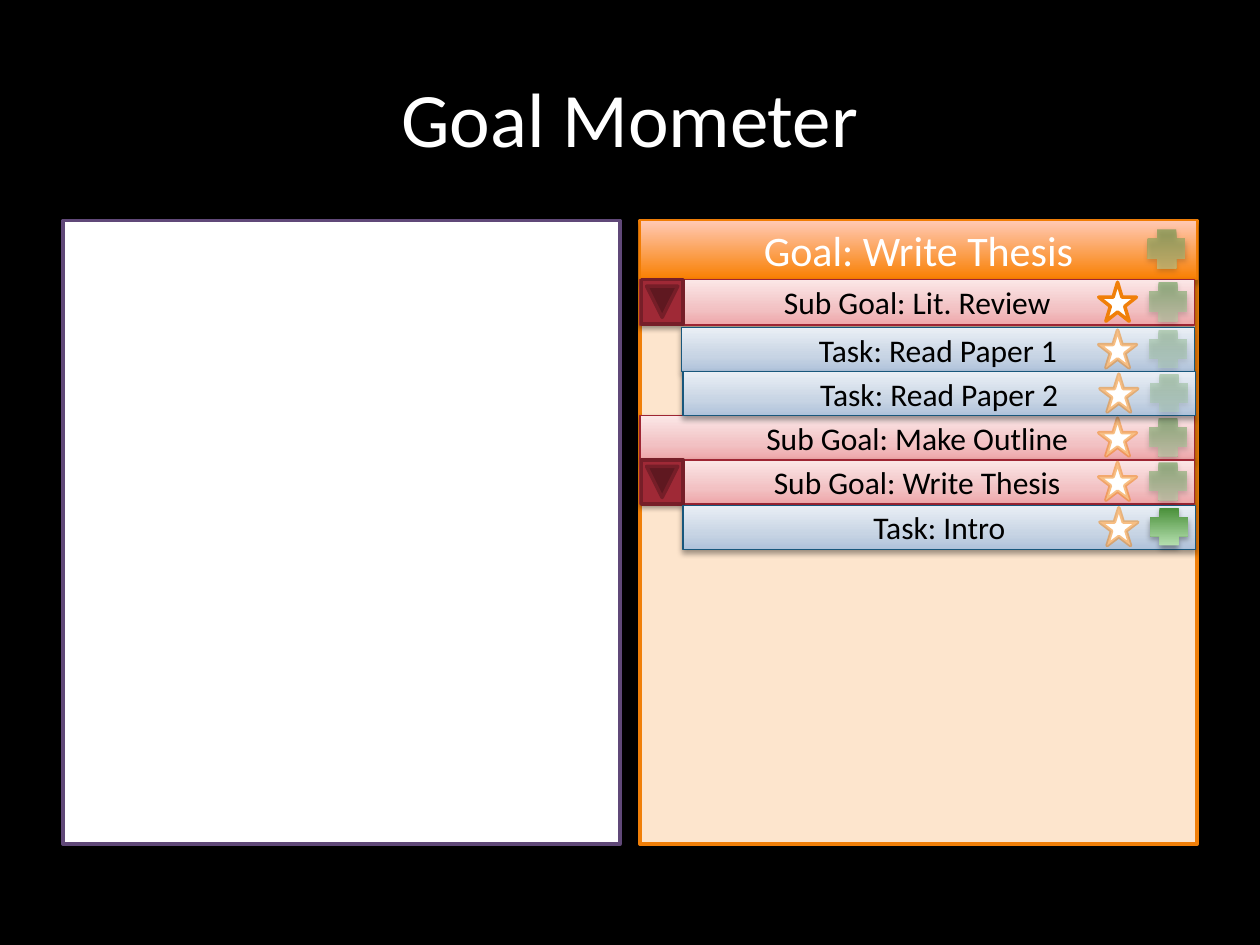
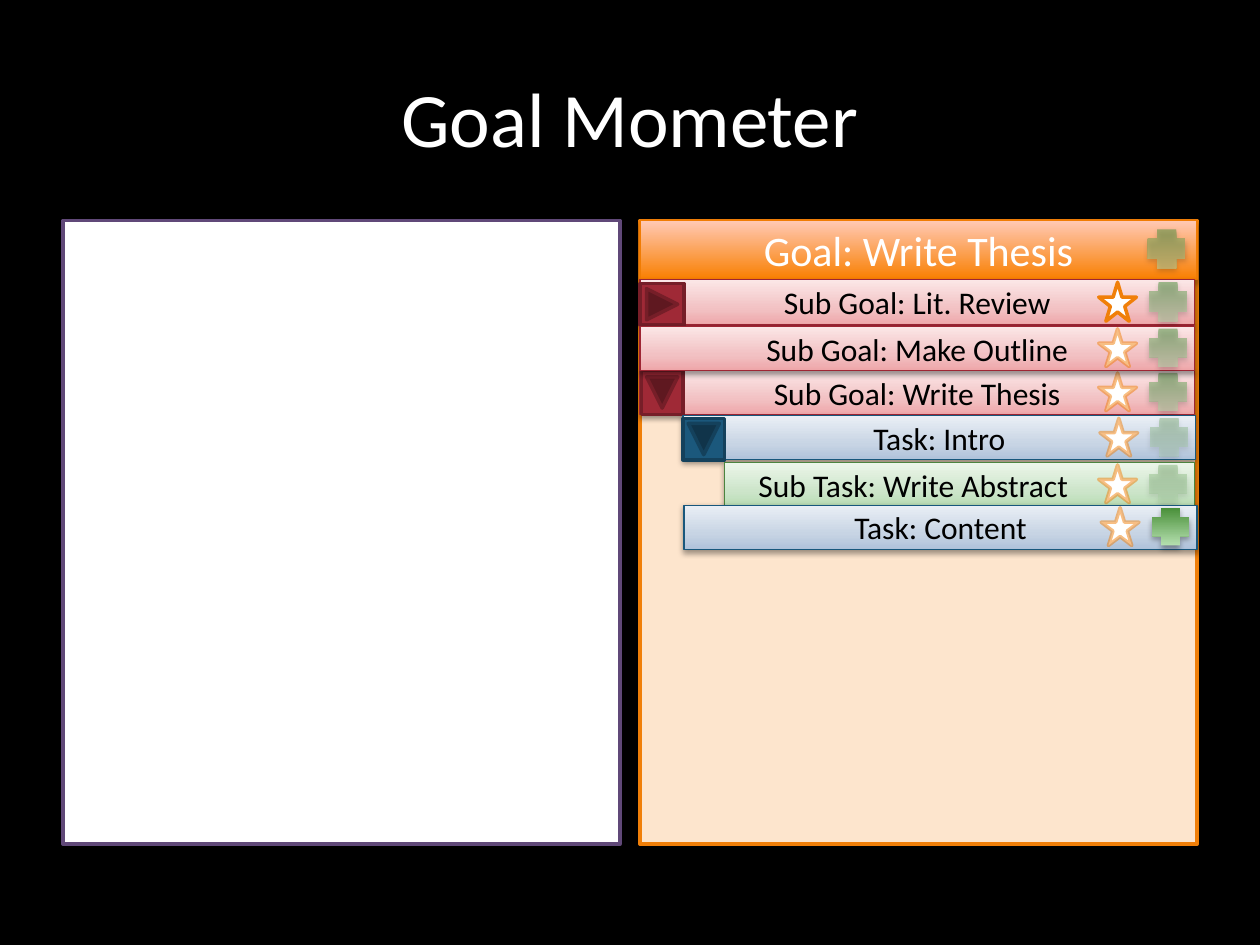
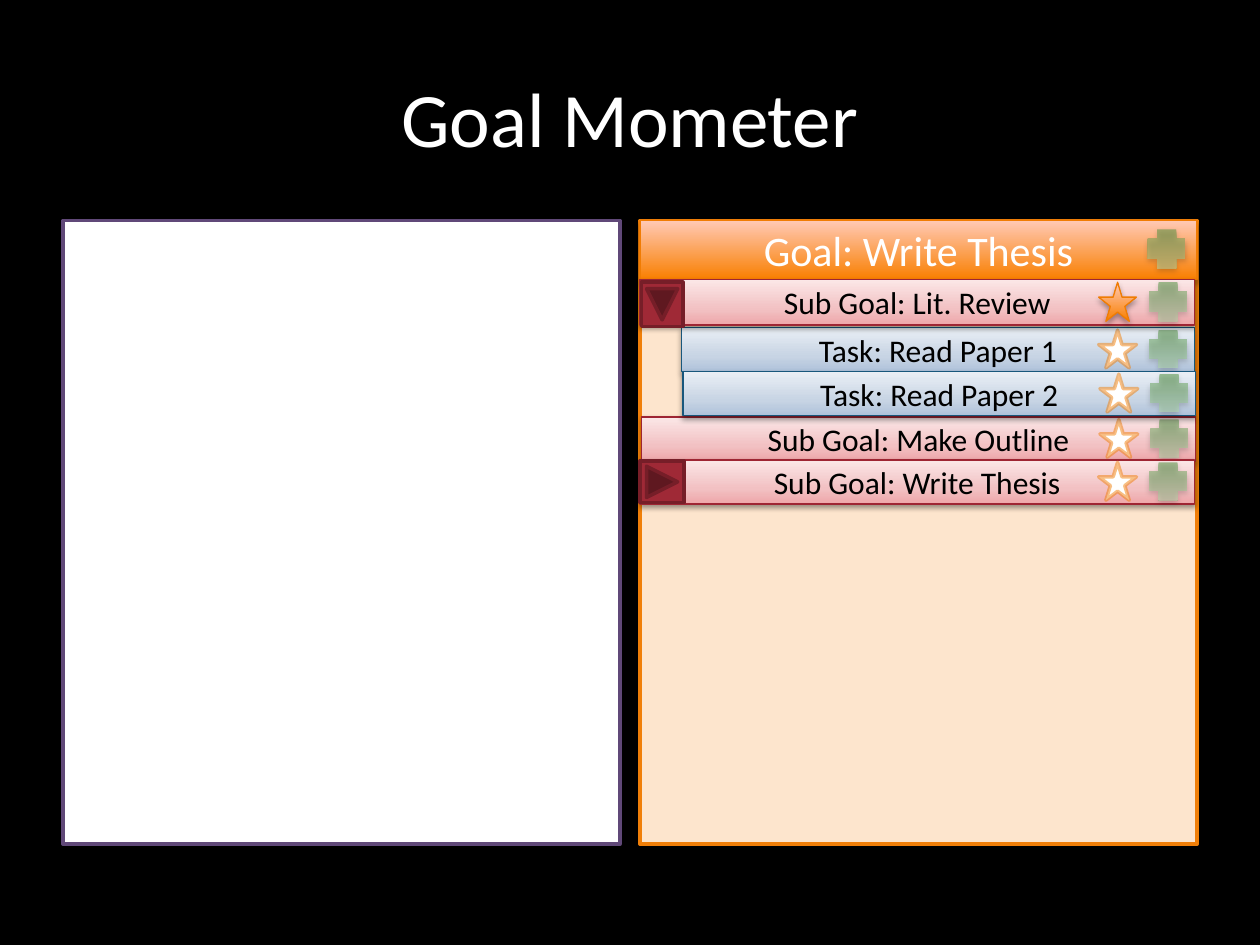
import lxml.etree
import pptx
import pptx.dml.color
import pptx.enum.shapes
import pptx.enum.text
import pptx.oxml.ns
import pptx.util

inch = pptx.util.Inches
form = pptx.enum.shapes.MSO_SHAPE
side = pptx.enum.text.PP_ALIGN
name = pptx.oxml.ns.qn
hue = pptx.dml.color.RGBColor.from_string

amber = [(0, "F97F00"), (100, "FFC9B5")]
green = [(0, "488F38"), (100, "B5DFAF")]
deep = (35, 23000)
soft = (38, 20000)

kinds = {
    "goal": dict(
        fill=[(0, "EEA6A9"), (35, "F2C1C3"), (100, "FBE7E7")], line="9E2533",
        wide=4.4, key="9F2936", edge="761E28", size=0.35),
    "task": dict(
        fill=[(0, "AFC2DA"), (35, "C7D4E4"), (100, "EAEFF5")], line="18577C",
        wide=4.07, key="1B587C", edge="14415C", size=0.33),
    "step": dict(
        fill=[(0, "B8DCB3"), (35, "CDE5CA"), (100, "ECF6EA")], line="4B843F",
        wide=3.73),
}

stars = {
    "faint": dict(fill="FFFFFF", line="F07F09", width=2, fade=50),
    "clear": dict(fill="FFFFFF", line="F07F09", width=2),
    "full": dict(fill=amber, line="F07C03", shade=deep),
}

# text, kind, left, top, height, star, plus opacity, button (turn, drop)
slides = [
    [
        ("Sub Goal: Make Outline", "goal", 5.08, 3.3, 0.35, "faint", 50, None),
        ("Sub Goal: Write Thesis", "goal", 5.08, 3.65, 0.35, "faint", 50, (90, 0.01)),
        ("Task: Intro", "task", 5.42, 4.01, 0.35, "faint", 100, None),
        ("Sub Goal: Lit. Review", "goal", 5.08, 2.22, 0.36, "clear", 50, (90, 0.01)),
        ("Task: Read Paper 1", "task", 5.41, 2.6, 0.35, "faint", 30, None),
        ("Task: Read Paper 2", "task", 5.42, 2.95, 0.35, "faint", 30, None),
    ],
    [
        ("Sub Goal: Lit. Review", "goal", 5.08, 2.22, 0.36, "clear", 50, (0, 0.03)),
        ("Sub Goal: Write Thesis", "goal", 5.08, 2.94, 0.35, "faint", 50, (90, 0.01)),
        ("Task: Intro", "task", 5.42, 3.3, 0.35, "faint", 30, (90, 0.02)),
        ("Sub Task: Write Abstract", "step", 5.75, 3.67, 0.35, "faint", 30, None),
        ("Sub Goal: Make Outline", "goal", 5.08, 2.59, 0.35, "faint", 50, None),
        ("Task: Content", "task", 5.43, 4.01, 0.35, "faint", 100, None),
    ],
    [
        ("Sub Goal: Make Outline", "goal", 5.09, 3.31, 0.35, "faint", 50, None),
        ("Task: Read Paper 1", "task", 5.41, 2.6, 0.35, "faint", 50, None),
        ("Sub Goal: Lit. Review", "goal", 5.08, 2.22, 0.36, "full", 50, (90, 0.03)),
        ("Task: Read Paper 2", "task", 5.42, 2.95, 0.35, "faint", 50, None),
        ("Sub Goal: Write Thesis", "goal", 5.08, 3.65, 0.35, "faint", 50, (0, 0.01)),
    ],
]


def draw(home, kind, at, fill, line=None, width=0.75, fade=100, shade=None):
    shape = home.shapes.add_shape(kind, *[inch(n) for n in at])
    shape.shadow.inherit = False
    props = shape._element.spPr
    sub = lxml.etree.SubElement
    if isinstance(fill, str):
        shape.fill.solid()
        shape.fill.fore_color.rgb = hue(fill)
    else:
        shape.fill.gradient()
        shape.fill.gradient_angle = 90
        stops = props.find(".//" + name("a:gsLst"))
        for stop in list(stops):
            stops.remove(stop)
        for spot, tone in fill:
            stop = sub(stops, name("a:gs"), pos=str(spot * 1000))
            ink = sub(stop, name("a:srgbClr"), val=tone)
            sub(ink, name("a:alpha"), val=str(fade * 1000))
    if line:
        shape.line.color.rgb = hue(line)
        shape.line.width = pptx.util.Pt(width)
        ink = props.find(name("a:ln")).find(".//" + name("a:srgbClr"))
        sub(ink, name("a:alpha"), val=str(fade * 1000))
    else:
        shape.line.fill.background()
    if shade:
        cast = sub(props.find(name("a:effectLst")), name("a:outerShdw"), blurRad="40000",
                   dist=str(shade[1]), dir="5400000", rotWithShape="0")
        ink = sub(cast, name("a:srgbClr"), val="000000")
        sub(ink, name("a:alpha"), val=str(shade[0] * 1000))
    return shape


def write(shape, text, size=18, color="000000", align=side.CENTER, inset=0.1):
    frame = shape.text_frame
    frame.word_wrap = True
    frame.vertical_anchor = pptx.enum.text.MSO_ANCHOR.MIDDLE
    frame.margin_left = inch(inset)
    line = frame.paragraphs[0]
    line.text = text
    line.alignment = align
    font = line.runs[0].font
    font.name = "Calibri"
    font.size = pptx.util.Pt(size)
    font.color.rgb = hue(color)


deck = pptx.Presentation()
deck.slide_width = inch(10)
deck.slide_height = inch(7.5)
back = deck.slide_master.background.fill
back.solid()
back.fore_color.rgb = hue("000000")

for rows in slides:
    slide = deck.slides.add_slide(deck.slide_layouts[6])
    draw(slide, form.RECTANGLE, (0.5, 1.75, 4.42, 4.95), "FFFFFF", "604878", 2)
    title = slide.shapes.add_textbox(inch(0.5), inch(0.3), inch(9), inch(1.25))
    write(title, "Goal Mometer", size=44, color="FFFFFF")

    panel = slide.shapes.add_group_shape()
    draw(panel, form.RECTANGLE, (5.08, 1.75, 4.42, 4.95), "FDE5CD", "F07F09", 2)
    head = draw(panel, form.RECTANGLE, (5.08, 1.75, 4.42, 0.47), amber, "F07C03", shade=deep)
    write(head, "Goal: Write Thesis", size=24, color="FFFFFF")
    plus = draw(slide, form.CROSS, (9.11, 1.82, 0.3, 0.31), green, fade=50, shade=deep)
    plus._element.spPr.xfrm.set("flipV", "1")

    for text, kind, left, top, high, star, glow, button in rows:
        look = kinds[kind]
        group = slide.shapes.add_group_shape()
        bar = draw(group, form.RECTANGLE, (left, top, look["wide"], high),
                   look["fill"], look["line"], shade=soft)
        if kind == "step":
            write(bar, text, align=side.LEFT, inset=0.27)
        else:
            write(bar, text)
        right = left + look["wide"]
        icon = high - 0.05
        plus = draw(group, form.CROSS, (right - 0.36, top + 0.02, 0.3, icon),
                    green, fade=glow, shade=deep)
        plus._element.spPr.xfrm.set("flipV", "1")
        draw(group, form.STAR_5_POINT, (right - 0.76, top + 0.02, 0.3, icon), **stars[star])
        if button:
            turn, drop = button
            key = draw(group, form.ACTION_BUTTON_FORWARD_OR_NEXT,
                       (left, top + drop, look["size"], 0.33), look["key"], look["edge"], 2)
            key.rotation = turn

deck.save("out.pptx")
